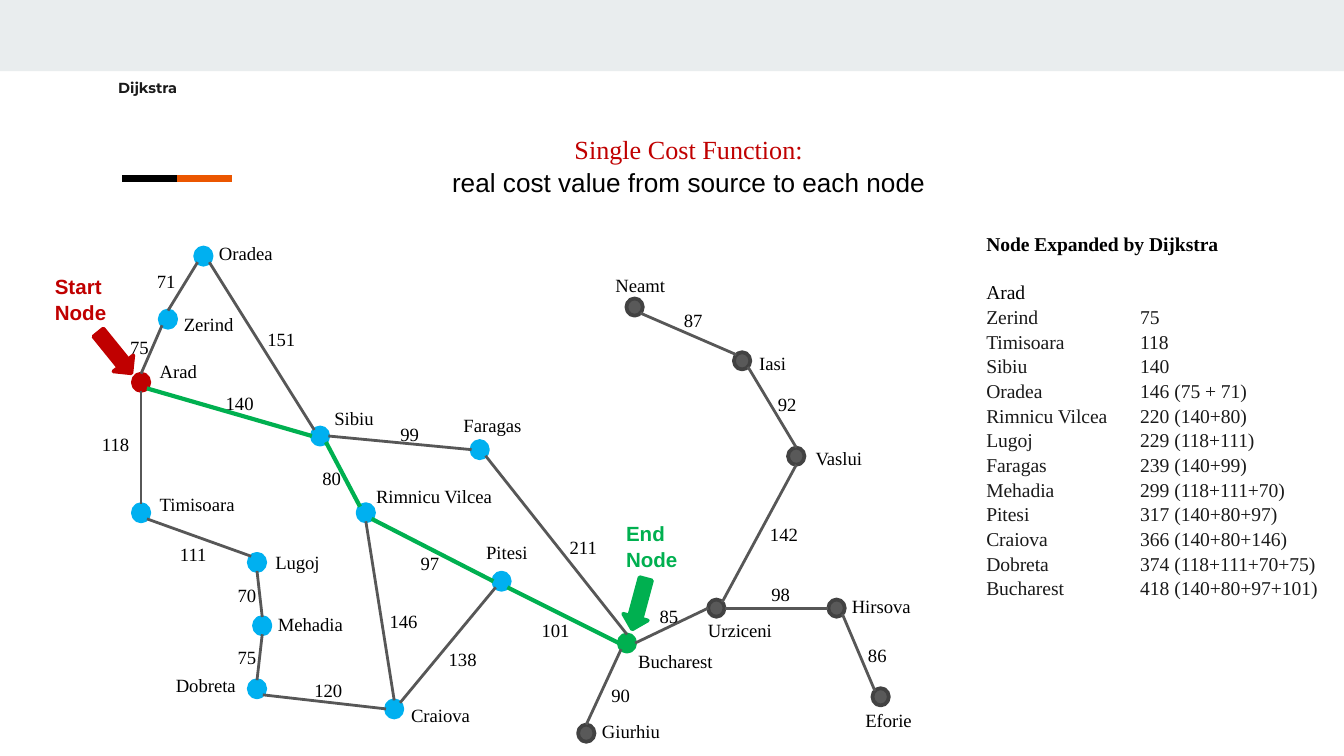
from lxml import etree
from pptx import Presentation
from pptx.dml.color import RGBColor
from pptx.enum.shapes import MSO_CONNECTOR, MSO_SHAPE
from pptx.enum.text import PP_ALIGN
from pptx.oxml.ns import qn
from pptx.util import Pt

STRAIGHT = MSO_CONNECTOR.STRAIGHT
OVAL, RECTANGLE, LEFT_ARROW = MSO_SHAPE.OVAL, MSO_SHAPE.RECTANGLE, MSO_SHAPE.LEFT_ARROW
LEFT, CENTER = PP_ALIGN.LEFT, PP_ALIGN.CENTER
SERIF, SANS, HEADING = "Times New Roman", "Arial", "Montserrat"

COLORS = {
    "band": "E9EDEE", "orange": "EB5600", "black": "000000", "ink": "1A1A1A",
    "visited": "00B0F0", "start": "C00000", "end": "00B050",
    "unvisited": "595959", "unvisited_line": "424242", "road": "575757",
}

NODE_WIDTH, NODE_HEIGHT = 8.8, 9.2
DIAGONAL = 0.71
SITES = {
    "N": (0, -1), "S": (0, 1), "W": (-1, 0), "E": (1, 0),
    "NW": (-DIAGONAL, -DIAGONAL), "NE": (DIAGONAL, -DIAGONAL),
    "SW": (-DIAGONAL, DIAGONAL), "SE": (DIAGONAL, DIAGONAL),
}

# name: (centre, label corner, label width, state)
CITIES = {
    "Oradea": ((109, 137.2), (110.2, 125.3), 60, "visited"),
    "Zerind": ((90, 171), (91.4, 163.4), 51, "visited"),
    "Arad": ((75.6, 204.8), (78.5, 188.6), 45, "start"),
    "Sibiu": ((171.5, 233.6), (172.1, 213.8), 44, "visited"),
    "Timisoara": ((75.6, 274.7), (78.5, 259.9), 87, "visited"),
    "Lugoj": ((137.7, 301.3), (140.4, 290.9), 45, "visited"),
    "Rimnicu Vilcea": ((196, 274.7), (194.4, 255.6), 97, "visited"),
    "Faragas": ((257, 240.9), (241.2, 217.4), 49, "visited"),
    "Mehadia": ((140.5, 335.2), (141.8, 324), 56, "visited"),
    "Dobreta": ((137.7, 369), (87.1, 357.1), 49, "visited"),
    "Neamt": ((340, 164.5), (322.6, 142.6), 60, "unvisited"),
    "Pitesi": ((268.7, 311.4), (253.4, 285.8), 45, "visited"),
    "Craiova": ((211.2, 379.8), (213.1, 373), 60, "visited"),
    "Bucharest": ((335.9, 344.5), (334.8, 344.2), 70, "end"),
    "Iasi": ((397.6, 193.3), (399.6, 184.3), 35, "unvisited"),
    "Urziceni": ((383.8, 325.8), (372.2, 327.6), 58, "unvisited"),
    "Vaslui": ((426.6, 244.4), (429.8, 235.4), 59, "unvisited"),
    "Eforie": ((471.8, 373.3), (456.5, 375.8), 50, "unvisited"),
    "Giurhiu": ((314.1, 392.8), (315.4, 381.6), 46, "unvisited"),
    "Hirsova": ((448.2, 325.8), (449.3, 314.6), 58, "unvisited"),
}

ROADS = [
    ("Oradea", "SW", "Zerind", "N", 71, (77, 140.4)),
    ("Zerind", "SW", "Arad", "N", 75, (62.6, 175.7)),
    ("Arad", "S", "Timisoara", "N", 118, (47.5, 227.5)),
    ("Oradea", "SE", "Sibiu", "NW", 151, (136.1, 171.4)),
    ("Timisoara", "SE", "Lugoj", "NW", 111, (89.3, 286.6)),
    ("Lugoj", "S", "Mehadia", "N", 70, (120.2, 308.9)),
    ("Mehadia", "S", "Dobreta", "N", 75, (120.2, 342)),
    ("Dobreta", "SE", "Craiova", "W", 120, (161.3, 359.3)),
    ("Craiova", "N", "Rimnicu Vilcea", "S", 146, (201.6, 322.6)),
    ("Arad", "SE", "Sibiu", "W", 140, (113.8, 205.9)),
    ("Sibiu", "SE", "Rimnicu Vilcea", "NW", 80, (165.6, 246.2)),
    ("Sibiu", "E", "Faragas", "W", 99, (207.4, 222.5)),
    ("Faragas", "SE", "Bucharest", "N", 211, (298.1, 283)),
    ("Rimnicu Vilcea", "SE", "Pitesi", "W", 97, (218.2, 291.6)),
    ("Pitesi", "SW", "Craiova", "NE", 138, (233.3, 342.7)),
    ("Pitesi", "SE", "Bucharest", "W", 101, (283, 327.6)),
    ("Bucharest", "SW", "Giurhiu", "N", 90, (320.4, 362.2)),
    ("Bucharest", "E", "Urziceni", "W", 85, (346.3, 319.7)),
    ("Urziceni", "E", "Hirsova", "W", 98, (406.1, 308.2)),
    ("Hirsova", "SE", "Eforie", "NW", 86, (457.9, 340.6)),
    ("Vaslui", "S", "Urziceni", "NE", 142, (405.4, 275.8)),
    ("Vaslui", "N", "Iasi", "SE", 92, (409.7, 206.6)),
    ("Neamt", "SE", "Iasi", "NW", 87, (359.3, 161.3)),
]
SHORTEST_ROUTE = ["Arad", "Sibiu", "Rimnicu Vilcea", "Pitesi", "Bucharest"]
ROUTE_ROADS = list(zip(SHORTEST_ROUTE, SHORTEST_ROUTE[1:]))

EXPANDED = [
    ("Zerind", "75"), ("Timisoara", "118"), ("Sibiu", "140"),
    ("Oradea", "146 (75 + 71)"), ("Rimnicu Vilcea", "220 (140+80)"),
    ("Lugoj", "229 (118+111)"), ("Faragas", "239 (140+99)"),
    ("Mehadia", "299 (118+111+70)"), ("Pitesi", "317 (140+80+97)"),
    ("Craiova", "366 (140+80+146)"), ("Dobreta", "374 (118+111+70+75)"),
    ("Bucharest", "418 (140+80+97+101)"),
]


def rgb(color):
    return RGBColor.from_string(COLORS[color])


def add_shape(page, kind, left, top, width, height, fill, line=None, rotation=0):
    shape = page.shapes.add_shape(kind, Pt(left), Pt(top), Pt(width), Pt(height))
    shape.shadow.inherit = False
    shape.rotation = rotation
    shape.fill.solid()
    shape.fill.fore_color.rgb = rgb(fill)
    if line:
        shape.line.color.rgb = rgb(line)
        shape.line.width = Pt(2)
    else:
        shape.line.fill.background()


def add_text(page, left, top, width, height, lines, size=10, font=SERIF,
             color="black", bold=False, align=LEFT, inset=3.6):
    box = page.shapes.add_textbox(Pt(left), Pt(top), Pt(width), Pt(height))
    frame = box.text_frame
    frame.word_wrap = True
    frame.margin_top = frame.margin_bottom = Pt(inset)
    for index, line in enumerate(lines):
        para = frame.paragraphs[0] if index == 0 else frame.add_paragraph()
        para.text = line
        para.alignment = align
        para.line_spacing = 1.05
        para.font.size = Pt(size)
        para.font.name = font
        para.font.bold = bold
        para.font.color.rgb = rgb(color)
    return frame.paragraphs


def add_tab_stop(para, position):
    stops = etree.SubElement(para._p.get_or_add_pPr(), qn("a:tabLst"))
    etree.SubElement(stops, qn("a:tab"), pos=str(Pt(position)), algn="l")


def site_point(city, site):
    (x, y), (across, down) = CITIES[city][0], SITES[site]
    return Pt(x + across * NODE_WIDTH / 2), Pt(y + down * NODE_HEIGHT / 2)


def add_road(page, start, start_site, end, end_site, cost, corner):
    on_route = (start, end) in ROUTE_ROADS
    road = page.shapes.add_connector(
        STRAIGHT, *site_point(start, start_site), *site_point(end, end_site))
    road.line.color.rgb = rgb("end" if on_route else "road")
    road.line.width = Pt(2.24 if on_route else 1.5)
    etree.SubElement(road._element.spPr, qn("a:effectLst"))
    add_text(page, *corner, 37, 18.7, [str(cost)])


def add_city(page, name, center, corner, width, state):
    line = "unvisited_line" if state == "unvisited" else state
    add_shape(page, OVAL, center[0] - NODE_WIDTH / 2, center[1] - NODE_HEIGHT / 2,
              NODE_WIDTH, NODE_HEIGHT, state, line)
    add_text(page, *corner, width, 18.7, [name])


def add_expansion_list(page):
    lines = ["Node Expanded by Dijkstra", "Arad"]
    lines += [f"{city}\t{cost}" for city, cost in EXPANDED]
    paras = add_text(page, 521.3, 120.2, 208, 234, lines, 10.5)
    paras[0].font.bold = True
    paras[0].space_after = Pt(12.6)
    for para in paras[2:]:
        para.font.color.rgb = rgb("ink")
        add_tab_stop(para, 82.5)


def main():
    deck = Presentation()
    deck.slide_width, deck.slide_height = Pt(720), Pt(405)
    page = deck.slides.add_slide(deck.slide_layouts[6])
    add_shape(page, RECTANGLE, 0, 0, 720, 38.2, "band")
    for left, color in ((94.8, "orange"), (65.4, "black")):
        add_shape(page, RECTANGLE, left, 93.8, 29.4, 3.6, color)
    for name, details in CITIES.items():
        add_city(page, name, *details)
    for road in ROADS:
        add_road(page, *road)
    for word, state, left, top, arrow_left, arrow_top, rotation in (
            ("Start", "start", 22.3, 142.6, 47.5, 182.2, 231),
            ("End", "end", 328.3, 275, 328.3, 316.8, 285.1)):
        add_shape(page, LEFT_ARROW, arrow_left, arrow_top, 28.1, 13.7,
                  state, state, rotation)
        add_text(page, left, top, 52.6, 33.1, [word, "Node"], 11, SANS, state, True)
    add_expansion_list(page)
    title = add_text(page, 229, 67, 280, 57.6,
                     ["Single Cost Function:", "real cost value from source to each node"],
                     14, SANS, align=CENTER)
    title[0].font.name = SERIF
    title[0].font.color.rgb = rgb("start")
    add_text(page, 56.2, 36.7, 104.4, 42.5, ["Dijkstra"], 7.8, HEADING,
             "ink", True, inset=7.2)
    deck.save("out.pptx")


main()
